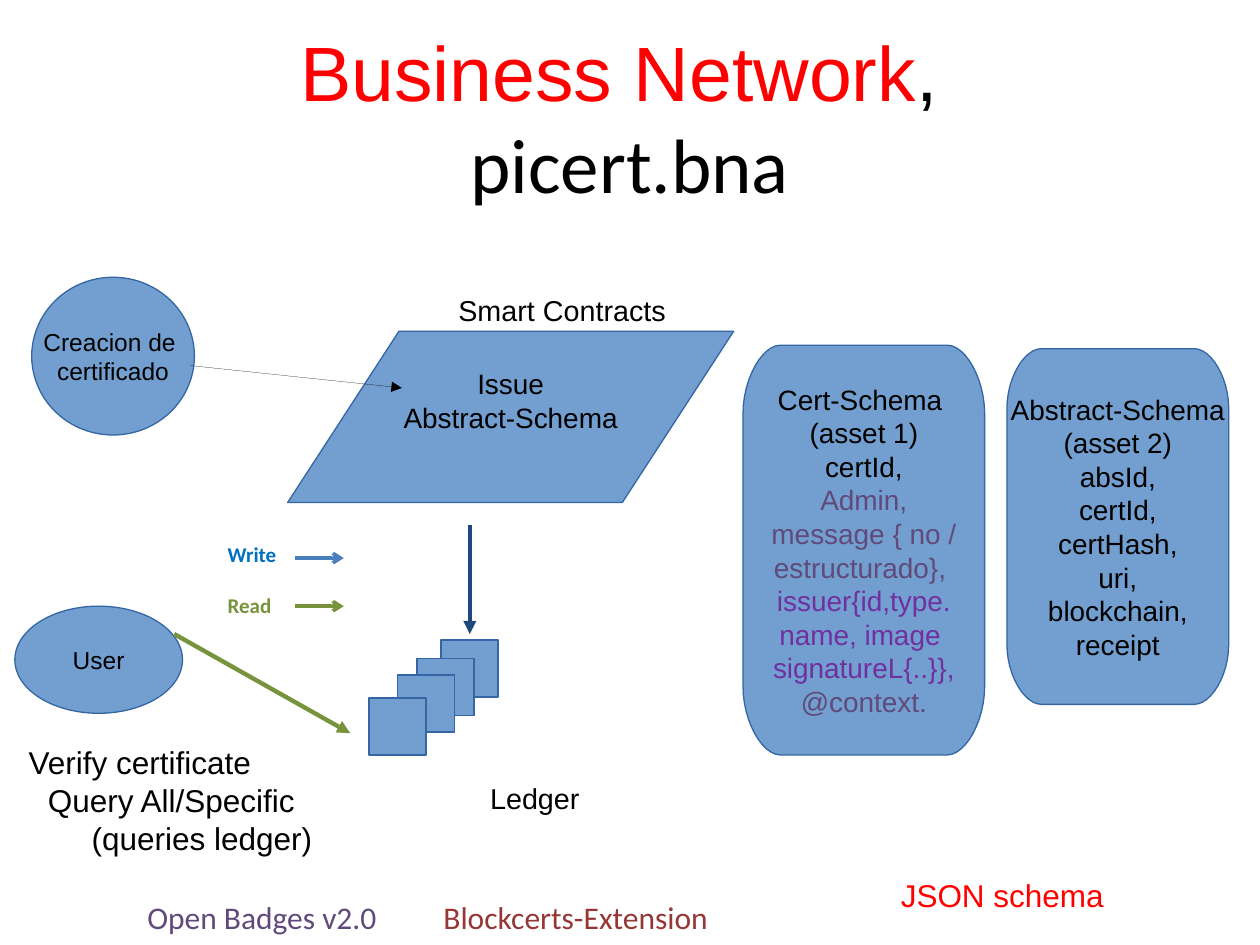
from lxml import etree
from pptx import Presentation
from pptx.dml.color import RGBColor
from pptx.enum import shapes, text
from pptx.oxml.ns import qn
from pptx.util import Cm, Pt

THEME = {
    "black": "000000", "red": "FF0000", "fill": "729FCF", "edge": "3465A4",
    "navy": "1F497D", "green": "77933C", "blue": "4B7EBC", "write": "0070C0",
    "plum": "604A7B", "violet": "7030A0", "brick": "953735",
    "sans": "Arial", "body": "Calibri",
    "title": 44, "label": 18, "caption": 16.4, "node": 16, "actor": 14, "legend": 12,
}
LEFT, CENTER = text.PP_ALIGN.LEFT, text.PP_ALIGN.CENTER
SHAPE = shapes.MSO_SHAPE

# Content: a line is (text, format changes); boxes are left, top, width, height in cm
TITLE_BOX = (1.27, 0.76, 22.86, 3.18)
ACTORS = [
    (["Creacion de ", "certificado"], (0.64, 5.59, 3.28, 3.18)),
    (["User"], (0.3, 12.22, 3.38, 2.16)),
]
CONTRACT = (["Issue", "Abstract-Schema"], (5.8, 6.68, 8.99, 3.45))
ASSETS = [
    (["Cert-Schema ", "(asset 1)", "certId,",
      ("Admin,", {"color": "plum"}), ("message { no /", {"color": "plum"}),
      ("estructurado}, ", {"color": "plum"}),
      ("issuer{id,type.", {"color": "violet"}), ("name, image ", {"color": "violet"}),
      ("signatureL{..}},", {"color": "violet"}), ("@context.", {"color": "plum"})],
     (14.98, 6.96, 4.87, 8.26)),
    (["Abstract-Schema", "(asset 2)", "absId,", "certId,", "certHash,", "uri,",
      "blockchain,", "receipt"], (20.3, 7.03, 4.47, 7.17)),
]
BLOCK_SIZE = 1.15
LEDGER_BLOCKS = [(8.89, 12.9), (8.41, 13.28), (8.02, 13.61), (7.44, 14.07)]
LABELS = [
    (["Smart Contracts"], (8.99, 5.77, 5.99, 0.89), {"size": "caption"}),
    (["Ledger"], (9.63, 15.62, 3.91, 0.89), {"size": "caption"}),
    (["Open Badges v2.0"], (2.72, 17.98, 5.18, 1.02), {"font": "body", "color": "plum"}),
    (["Blockcerts-Extension"], (8.69, 17.98, 5.89, 1.02), {"font": "body", "color": "brick"}),
    (["Verify certificate", ("Query All/Specific", {"align": CENTER}),
      ("(queries ledger)", {"align": CENTER, "indent": 1.23})],
     (0.33, 14.86, 6.25, 3.33), {}),
    ([("Write", {"color": "write"}), ("Read", {"color": "green", "before": 14.6})],
     (4.34, 10.8, 3.61, 1.8), {"size": "legend", "font": "body", "bold": True}),
    (["JSON schema"], (17.91, 17.53, 5.33, 1.02), {"color": "red"}),
]
# start x, y, end x, y, colour, width, arrowhead
ARROWS = [
    (9.47, 10.59, 9.47, 12.78, "navy", 2.5, "triangle"),
    (3.84, 7.37, 8.1, 7.82, "black", 0.1, "triangle"),
    (3.51, 12.78, 7.06, 14.78, "green", 2.5, "triangle"),
    (5.94, 11.25, 6.93, 11.25, "blue", 2, "arrow"),
    (5.94, 12.22, 6.93, 12.22, "green", 2, "arrow"),
]


def rgb(name):
    return RGBColor.from_string(THEME[name])


def add_run(paragraph, words, size="label", font="sans", color="black", bold=False):
    run = paragraph.add_run()
    run.text = words
    run.font.size, run.font.name, run.font.bold = Pt(THEME[size]), THEME[font], bold
    run.font.color.rgb = rgb(color)


def write(frame, lines, wrap=True, anchor=text.MSO_ANCHOR.TOP, **base):
    frame.word_wrap, frame.vertical_anchor = wrap, anchor
    for number, line in enumerate(lines):
        words, changes = (line, {}) if isinstance(line, str) else line
        style = {"align": LEFT, "indent": 0, "before": 0, **base, **changes}
        paragraph = frame.add_paragraph() if number else frame.paragraphs[0]
        paragraph.alignment = style.pop("align")
        paragraph.space_before = Pt(style.pop("before"))
        indent = style.pop("indent")
        if indent:
            paragraph._p.get_or_add_pPr().set("marL", str(Cm(indent)))
        add_run(paragraph, words, **style)


def paint(shape, lines=(), size="node"):
    shape.shadow.inherit = False
    shape.fill.solid()
    shape.fill.fore_color.rgb = rgb("fill")
    shape.line.color.rgb = rgb("edge")
    shape.line.width = Pt(0.75)
    if lines:
        write(shape.text_frame, lines, wrap=False, anchor=text.MSO_ANCHOR.MIDDLE,
              align=CENTER, size=size)
    return shape


def add_node(slide, kind, box):
    return slide.shapes.add_shape(kind, *map(Cm, box))


def add_asset(slide, box, steps=12):
    """Box whose tall corners are sampled from a cubic curve."""
    left, top, width, height = box
    rx, ry = 0.155 * width, height / 6
    curve = []
    for step in range(steps + 1):
        t = step / steps
        s = 1 - t
        curve.append((rx * (s**3 + 1.5 * s * s * t), ry * (t**3 + 1.5 * s * t * t)))
    right, bottom = left + width, top + height
    points = [(left + x, top + y) for x, y in curve]
    points += [(left + x, bottom - y) for x, y in reversed(curve)]
    points += [(right - x, bottom - y) for x, y in curve]
    points += [(right - x, top + y) for x, y in reversed(curve)]
    points = [(Cm(x), Cm(y)) for x, y in points]
    outline = slide.shapes.build_freeform(*points[0])
    outline.add_line_segments(points[1:], close=True)
    return outline.convert_to_shape()


def add_arrow(slide, x1, y1, x2, y2, color, width, head):
    arrow = slide.shapes.add_connector(
        shapes.MSO_CONNECTOR.STRAIGHT, Cm(x1), Cm(y1), Cm(x2), Cm(y2))
    arrow.line.color.rgb = rgb(color)
    arrow.line.width = Pt(width)
    etree.SubElement(arrow.line._get_or_add_ln(), qn("a:tailEnd"), type=head)
    etree.SubElement(arrow._element.spPr, qn("a:effectLst"))


def main():
    deck = Presentation()
    deck.slide_width, deck.slide_height = Cm(25.4), Cm(19.05)
    slide = deck.slides.add_slide(deck.slide_layouts[5])

    # Title
    title = slide.shapes.title
    title.left, title.top, title.width, title.height = map(Cm, TITLE_BOX)
    frame = title.text_frame
    frame.auto_size = text.MSO_AUTO_SIZE.NONE
    frame.margin_left = frame.margin_right = frame.margin_top = frame.margin_bottom = 0
    write(frame, [("Business Network", {"color": "red"}), ("picert.bna", {"font": "body"})],
          anchor=text.MSO_ANCHOR.MIDDLE, align=CENTER, size="title")
    add_run(frame.paragraphs[0], ", ", size="title")

    # Actors, smart contract, assets
    for lines, box in ACTORS:
        paint(add_node(slide, SHAPE.OVAL, box), lines, size="actor")
    lines, box = CONTRACT
    contract = paint(add_node(slide, SHAPE.PARALLELOGRAM, box), lines)
    contract.adjustments[0] = 0.65
    contract.text_frame.margin_bottom = Cm(0.8)
    for lines, box in ASSETS:
        paint(add_asset(slide, box), lines)

    # Ledger blocks, back to front
    for corner in LEDGER_BLOCKS:
        paint(add_node(slide, SHAPE.RECTANGLE, (*corner, BLOCK_SIZE, BLOCK_SIZE)))

    # Labels and arrows
    for lines, box, style in LABELS:
        write(slide.shapes.add_textbox(*map(Cm, box)).text_frame, lines, **style)
    for arrow in ARROWS:
        add_arrow(slide, *arrow)

    deck.save("out.pptx")


if __name__ == "__main__":
    main()
